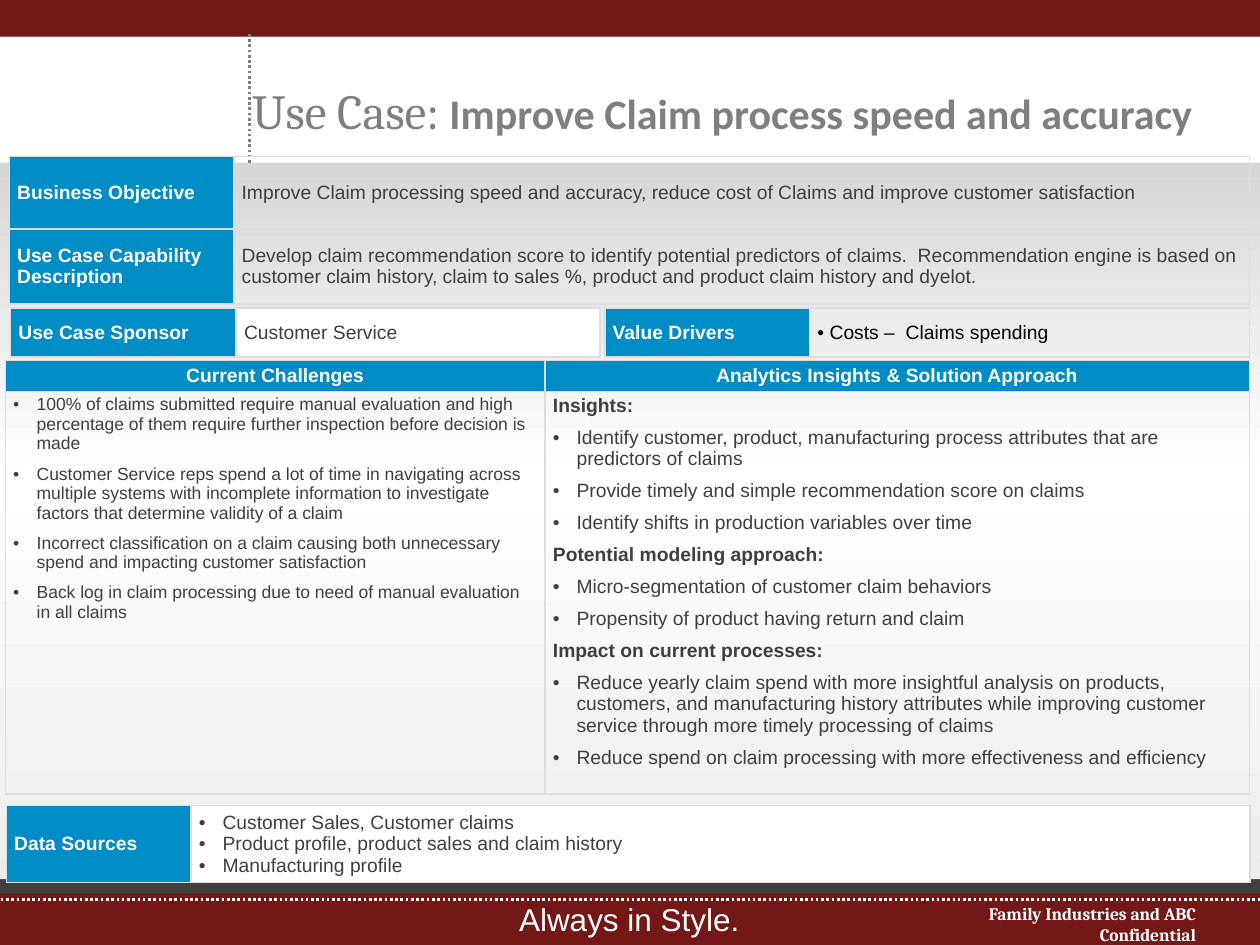
from copy import deepcopy

from lxml.etree import SubElement
from pptx import Presentation
from pptx.dml.color import RGBColor
from pptx.enum.dml import MSO_LINE
from pptx.enum.shapes import MSO_CONNECTOR, MSO_SHAPE
from pptx.enum.text import MSO_ANCHOR, MSO_AUTO_SIZE, PP_ALIGN
from pptx.oxml import parse_xml
from pptx.oxml.ns import nsdecls, qn
from pptx.util import Pt


class Theme:
    maroon, blue, white, black = "731717", "008CC4", "FFFFFF", "000000"
    ink, gray, border = "3F3F3F", "7F7F7F", "DDDDDD"
    backdrop = [(0, "BFBFBF"), (0.5, "FFFFFF"), (1, "EAEAEA")]
    body, heading, accent = "Arial", "Cambria", "Calibri"
    small, normal, tagline, subtitle, title = 10, 11, 18, 24, 28


def style_span(span, font, size, color, bold=False):
    span.font.name = font
    span.font.size = Pt(size)
    span.font.bold = bold
    span.font.color.rgb = RGBColor.from_string(color)


def fill_cell(cell, lines, fill, color, size, align, indent):
    """Lines starting with a bullet are hanging; lines ending in a colon are bold."""
    cell.margin_left = cell.margin_right = Pt(4.5)
    cell.margin_top = cell.margin_bottom = Pt(2.2)
    many = len(lines) > 3
    cell.vertical_anchor = MSO_ANCHOR.TOP if many else MSO_ANCHOR.MIDDLE
    if fill:
        cell.fill.solid()
        cell.fill.fore_color.rgb = RGBColor.from_string(fill)
    else:
        cell.fill.background()
    properties = cell._tc.get_or_add_tcPr()
    for place, side in enumerate(("lnL", "lnR", "lnT", "lnB")):
        properties.insert(place, parse_xml(
            f'<a:{side} {nsdecls("a")} w="12700"><a:solidFill>'
            f'<a:srgbClr val="{Theme.border}"/></a:solidFill></a:{side}>'))

    cell.text_frame.text = "\n".join(line.removeprefix("• ") for line in lines)
    for para, line in zip(cell.text_frame.paragraphs, lines):
        para.alignment = align
        para.space_before = Pt(6 if many else 0)
        bold = fill == Theme.blue or line.endswith(":")
        style_span(para.runs[0], Theme.body, size, color, bold)
        if line.startswith("• "):
            layout = para._p.get_or_add_pPr()
            layout.set("marL", str(Pt(indent)))
            layout.set("indent", str(-Pt(indent)))
            SubElement(layout, qn("a:buFont")).set("typeface", Theme.body)
            SubElement(layout, qn("a:buChar")).set("char", "•")


deck = Presentation()
deck.slide_width, deck.slide_height = Pt(720), Pt(540)
page = deck.slides.add_slide(deck.slide_layouts[5])

# Background gradient, top to bottom
backdrop = page.background.fill
backdrop.gradient()
backdrop.gradient_angle = 270
stop_list = page.background._cSld.find(".//" + qn("a:gsLst"))
stop_list.append(deepcopy(stop_list[-1]))
for stop, (position, color) in zip(backdrop.gradient_stops, Theme.backdrop):
    stop.position = position
    stop.color.rgb = RGBColor.from_string(color)

# Header and footer bands
for top, height, color in [
    (502.5, 37.5, Theme.maroon),
    (502.5, 8, Theme.ink),
    (21, 72, Theme.white),
    (0, 21, Theme.maroon),
]:
    band = page.shapes.add_shape(MSO_SHAPE.RECTANGLE, 0, Pt(top), Pt(720), Pt(height))
    band.shadow.inherit = False
    band.fill.solid()
    band.fill.fore_color.rgb = RGBColor.from_string(color)
    band.line.fill.background()

# Dotted rules
for start_x, start_y, end_x, end_y, color in [
    (0.5, 514, 720.5, 514, Theme.white),
    (142.5, 93, 142.5, 19, Theme.gray),
]:
    rule = page.shapes.add_connector(
        MSO_CONNECTOR.STRAIGHT, Pt(start_x), Pt(start_y), Pt(end_x), Pt(end_y))
    rule.line.width = Pt(1.5)
    rule.line.color.rgb = RGBColor.from_string(color)
    rule.line.dash_style = MSO_LINE.ROUND_DOT
    SubElement(rule._element.spPr, qn("a:effectLst"))

# Title, brought in front of the header band
title = page.shapes.title
title._element.getparent().append(title._element)
title.left, title.top, title.width, title.height = Pt(144), Pt(46.8), Pt(546), Pt(33)
frame = title.text_frame
frame.margin_left = frame.margin_right = frame.margin_top = frame.margin_bottom = 0
frame.vertical_anchor = MSO_ANCHOR.BOTTOM
frame.auto_size = MSO_AUTO_SIZE.NONE
para = frame.paragraphs[0]
para.text = "Use Case: "
para.alignment = PP_ALIGN.LEFT
para.line_spacing = Pt(26)
style_span(para.runs[0], Theme.heading, Theme.title, Theme.gray)
topic = para.add_run()
topic.text = "Improve Claim process speed and accuracy"
style_span(topic, Theme.accent, Theme.subtitle, Theme.gray, True)

# Footer texts
for left, top, width, height, text, font, size, bold, align, wrap in [
    (289.5, 511, 142, 29, "Always in Style.",
     Theme.body, Theme.tagline, False, PP_ALIGN.LEFT, False),
    (507.5, 512.6, 183, 23, "Family Industries and ABC Confidential",
     Theme.heading, Theme.small, True, PP_ALIGN.RIGHT, True),
]:
    box = page.shapes.add_textbox(Pt(left), Pt(top), Pt(width), Pt(height))
    box.text_frame.word_wrap = wrap
    box.text_frame.text = text
    para = box.text_frame.paragraphs[0]
    para.alignment = align
    style_span(para.runs[0], font, size, Theme.white, bold)

# Table contents: each cell is (kind, lines)
challenges = [
    "• 100% of claims submitted require manual evaluation and high percentage of them require further inspection before decision is made",
    "• Customer Service reps spend a lot of time in navigating across multiple systems with incomplete information to investigate factors that determine validity of a claim",
    "• Incorrect classification on a claim causing both unnecessary spend and impacting customer satisfaction",
    "• Back log in claim processing due to need of manual evaluation in all claims",
]
approach = [
    "Insights:",
    "• Identify customer, product, manufacturing process attributes that are predictors of claims",
    "• Provide timely and simple recommendation score on claims",
    "• Identify shifts in production variables over time",
    "Potential modeling approach:",
    "• Micro-segmentation of customer claim behaviors",
    "• Propensity of product having return and claim",
    "Impact on current processes:",
    "• Reduce yearly claim spend with more insightful analysis on products, customers, and manufacturing history attributes while improving customer service through more timely processing of claims",
    "• Reduce spend on claim processing with more effectiveness and efficiency",
]
objective = "Improve Claim processing speed and accuracy, reduce cost of Claims and improve customer satisfaction"
capability = "Develop claim recommendation score to identify potential predictors of claims.  Recommendation engine is based on customer claim history, claim to sales %, product and product claim history and dyelot."
sources = [
    "• Customer Sales, Customer claims",
    "• Product profile, product sales and claim history",
    "• Manufacturing profile",
]

# Cell kinds: fill, text colour, size, alignment, bullet indent
kinds = {
    "label": (Theme.blue, Theme.white, Theme.normal, PP_ALIGN.LEFT, 0),
    "header": (Theme.blue, Theme.white, Theme.normal, PP_ALIGN.CENTER, 0),
    "clear": (None, Theme.ink, Theme.normal, PP_ALIGN.LEFT, 13.5),
    "small": (None, Theme.ink, Theme.small, PP_ALIGN.LEFT, 13.5),
    "driver": (None, Theme.black, Theme.normal, PP_ALIGN.LEFT, 7),
    "white": (Theme.white, Theme.ink, Theme.normal, PP_ALIGN.LEFT, 13.5),
}

# Tables: left, top, column widths, row heights, rows
tables = [
    (3, 206, (308.5, 402.5), (17, 228), [
        [("header", ["Current Challenges"]),
         ("header", ["Analytics Insights & Solution Approach"])],
        [("small", challenges), ("clear", approach)]]),
    (5.3, 89.5, (128.3, 580.5), (41.3, 43), [
        [("label", ["Business Objective"]), ("clear", [objective])],
        [("label", ["Use Case Capability Description"]), ("clear", [capability])]]),
    (345.6, 176, (117, 251.5), (28,), [
        [("label", ["Value Drivers"]), ("driver", ["• Costs –  Claims spending"])]]),
    (6, 176, (129, 208), (28,), [
        [("label", ["Use Case Sponsor"]), ("white", ["Customer Service"])]]),
    (3.6, 460.3, (105.6, 605), (41.5,), [
        [("label", ["Data Sources"]), ("white", sources)]]),
]
for left, top, widths, heights, rows in tables:
    table = page.shapes.add_table(
        len(heights), len(widths), Pt(left), Pt(top), Pt(sum(widths)), Pt(sum(heights))).table
    table.first_row = table.horz_banding = False
    for column, width in zip(table.columns, widths):
        column.width = Pt(width)
    for row, height, cells in zip(table.rows, heights, rows):
        row.height = Pt(height)
        for cell, (kind, lines) in zip(row.cells, cells):
            fill_cell(cell, lines, *kinds[kind])

deck.save("out.pptx")
